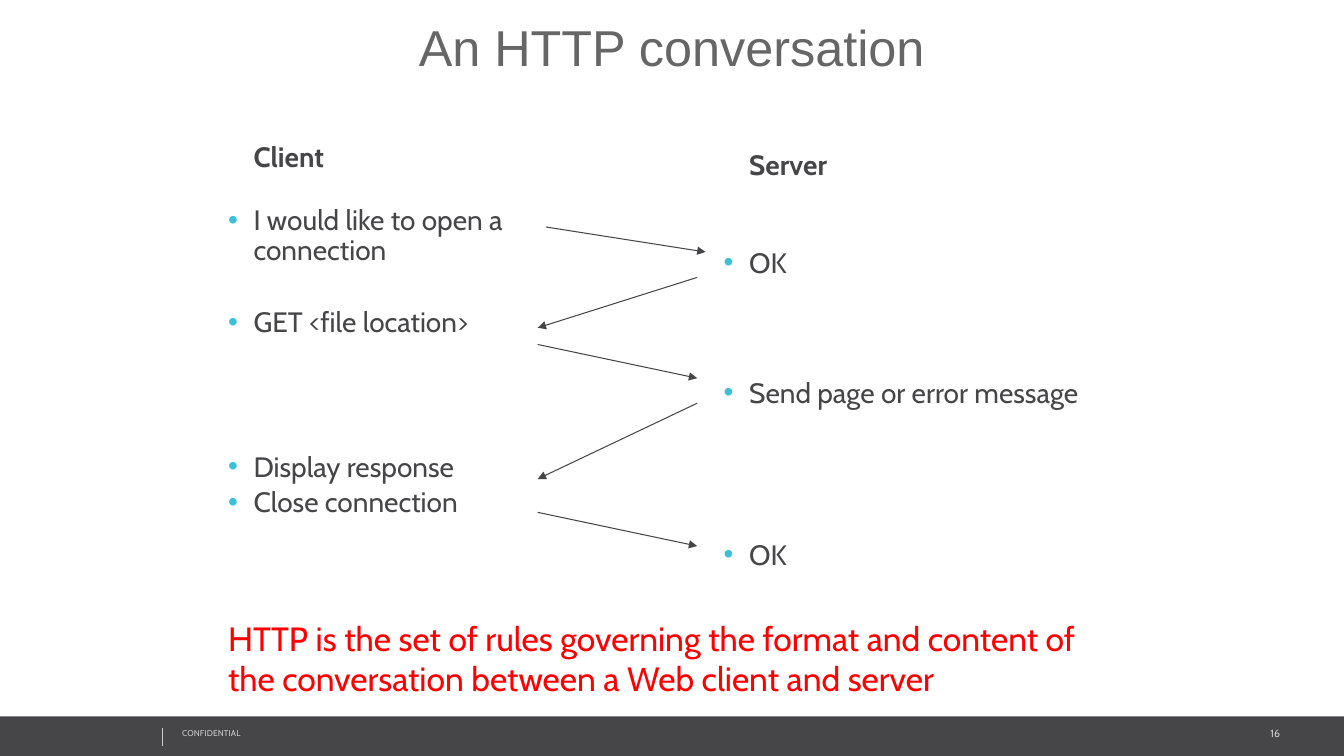
import pptx
import pptx.dml.color
import pptx.enum.shapes
import pptx.enum.text
import pptx.oxml.ns
import pptx.util
from lxml import etree

Cm, Pt = pptx.util.Cm, pptx.util.Pt
RGBColor = pptx.dml.color.RGBColor
PP_ALIGN = pptx.enum.text.PP_ALIGN
MSO_ANCHOR = pptx.enum.text.MSO_ANCHOR
qn = pptx.oxml.ns.qn

DARK = RGBColor(0x46, 0x45, 0x47)
LIGHT = RGBColor(0xCC, 0xCC, 0xCC)
GRAY = RGBColor(0x66, 0x66, 0x66)
RED = RGBColor(0xFF, 0x00, 0x00)
CYAN = RGBColor(0x39, 0xC2, 0xD7)


class Deck:
    font = "Cabin"
    body_size = 20
    indent = Cm(0.64)
    bullet_gap = 4

    def __init__(self, prs):
        self.slide = prs.slides.add_slide(prs.slide_layouts[6])

    def frame(self, x, y, w, h, wrap=True):
        sp = self.slide.shapes.add_textbox(Cm(x), Cm(y), Cm(w), Cm(h))
        tf = sp.text_frame
        tf.word_wrap = wrap
        return tf

    def run(self, p, text, size, color, bold=False, font=None):
        r = p.add_run()
        r.text = text
        r.font.size = Pt(size)
        r.font.name = font or self.font
        r.font.bold = bold
        r.font.color.rgb = color
        return r

    def text(self, box, text, size, color, align=PP_ALIGN.LEFT,
             anchor=MSO_ANCHOR.TOP, wrap=True, bold=False, font=None):
        tf = self.frame(*box, wrap=wrap)
        tf.vertical_anchor = anchor
        p = tf.paragraphs[0]
        p.alignment = align
        return self.run(p, text, size, color, bold, font)

    def bullets(self, box, items, spacing, pitch):
        """Items are (text, rows skipped above it)."""
        tf = self.frame(*box)
        for i, (text, skipped) in enumerate(items):
            p = tf.add_paragraph() if i else tf.paragraphs[0]
            p.line_spacing = spacing
            p.space_before = Pt(self.bullet_gap + skipped * pitch if i else 0)
            pPr = p._p.get_or_add_pPr()
            pPr.set("marL", str(self.indent))
            pPr.set("indent", str(-self.indent))
            clr = etree.SubElement(pPr, qn("a:buClr"))
            etree.SubElement(clr, qn("a:srgbClr"), val=str(CYAN))
            etree.SubElement(pPr, qn("a:buFont"), typeface="Arial")
            etree.SubElement(pPr, qn("a:buChar"), char="•")
            self.run(p, text, self.body_size, DARK)

    def bar(self, x, y, w, h, color):
        sp = self.slide.shapes.add_shape(
            pptx.enum.shapes.MSO_SHAPE.RECTANGLE, Cm(x), Cm(y), Cm(w), Cm(h))
        sp.shadow.inherit = False
        sp.fill.solid()
        sp.fill.fore_color.rgb = color
        sp.line.fill.background()

    def line(self, x1, y1, x2, y2, color, width, arrow=False):
        cxn = self.slide.shapes.add_connector(
            pptx.enum.shapes.MSO_CONNECTOR.STRAIGHT,
            Cm(x1), Cm(y1), Cm(x2), Cm(y2))
        cxn.line.color.rgb = color
        cxn.line.width = Pt(width)
        if arrow:
            etree.SubElement(cxn.line._get_or_add_ln(), qn("a:tailEnd"),
                             type="triangle")
        etree.SubElement(cxn._element.spPr, qn("a:effectLst"))


def main():
    prs = pptx.Presentation()
    prs.slide_width, prs.slide_height = Cm(33.87), Cm(19.05)
    deck = Deck(prs)

    # Footer
    deck.bar(0, 18.05, 33.87, 1, DARK)
    deck.text((26.97, 18.2, 5.54, 0.58), "16", 7.5, LIGHT, PP_ALIGN.RIGHT)
    r = deck.text((4.34, 18.23, 8.59, 0.5), "CONFIDENTIAL", 6, LIGHT)
    r.font._element.set("spc", "10")
    deck.line(4.09, 18.34, 4.09, 18.8, LIGHT, 0.25)

    # Title
    deck.text((5.5, 0, 22.86, 2.33), "An HTTP conversation", 36, GRAY,
              PP_ALIGN.CENTER, MSO_ANCHOR.MIDDLE, font="Arial")

    # Client and server columns
    for name, x, y in (("Client", 6.14, 3.39), ("Server", 18.63, 3.6)):
        deck.text((x, y, 2.6, 1.1), name, deck.body_size, DARK,
                  wrap=False, bold=True)
    deck.bullets((5.5, 5.08, 8.26, 8.76),
                 [("I would like to open a connection", 0),
                  ("GET <file location>", 1),
                  ("Display response", 3),
                  ("Close connection", 0)], 0.9, 25.8)
    deck.bullets((17.99, 6.22, 11.23, 9.02),
                 [("OK", 0),
                  ("Send page or error message", 3),
                  ("OK", 4)], 0.8, 23.2)

    # Messages between the two sides
    client, server = 13.55, 17.57
    for x1, y1, x2, y2 in ((13.76, 5.72, 17.78, 6.35),
                           (server, 6.99, client, 8.26),
                           (client, 8.68, server, 9.53),
                           (server, 10.16, client, 12.07),
                           (client, 12.91, server, 13.76)):
        deck.line(x1, y1, x2, y2, DARK, 0.75, arrow=True)

    # Summary
    deck.text((5.5, 15.45, 22.86, 2.31),
              "HTTP is the set of rules governing the format and content of "
              "the conversation between a Web client and server", 24, RED)

    prs.save("out.pptx")


if __name__ == "__main__":
    main()
